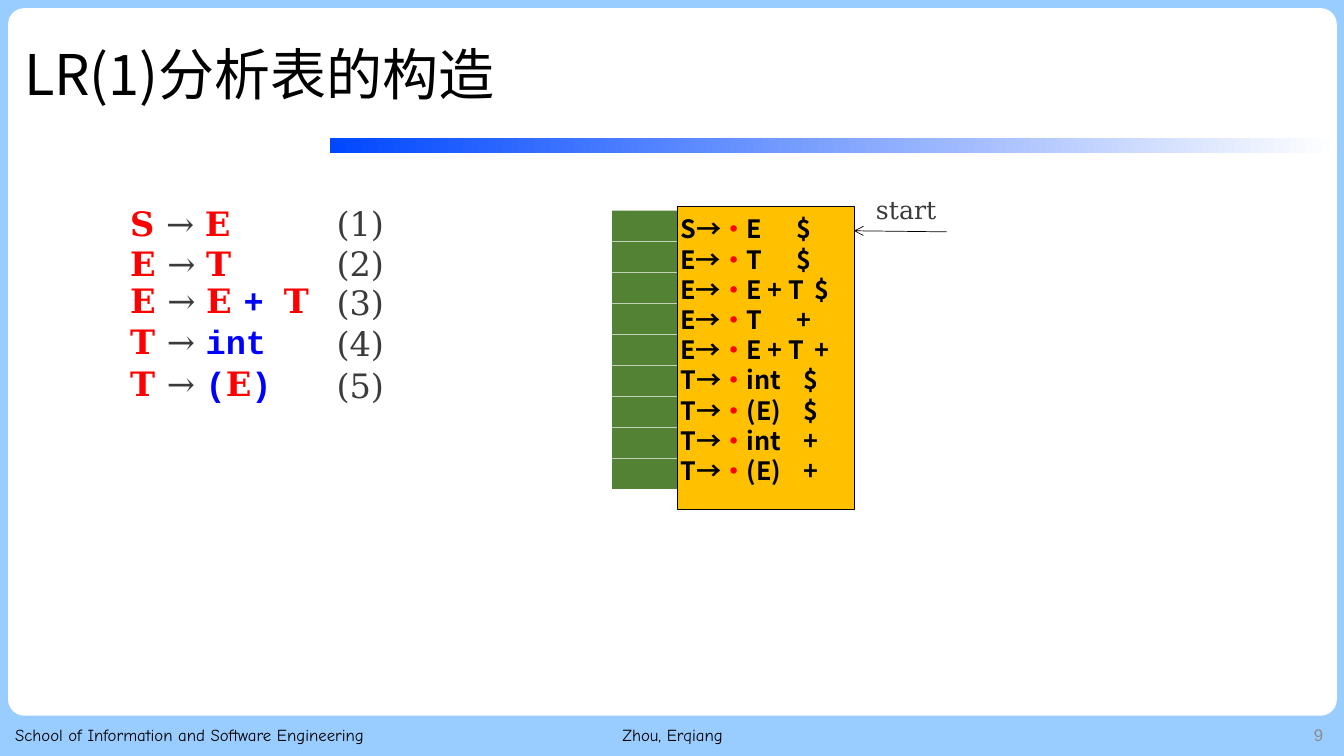
from lxml import etree
from pptx import Presentation
from pptx.dml.color import RGBColor
from pptx.enum.shapes import MSO_CONNECTOR as CONN, MSO_SHAPE as SHAPE
from pptx.enum.text import MSO_ANCHOR as ANCHOR, MSO_AUTO_SIZE as FIT, PP_ALIGN as ALIGN
from pptx.oxml.ns import qn
from pptx.util import Inches, Pt

SKY = RGBColor(0x99, 0xCC, 0xFF)
WHITE = RGBColor(0xFF, 0xFF, 0xFF)
BLACK = RGBColor(0, 0, 0)
RULE_BLUE = RGBColor(0x00, 0x47, 0xFF)
GREEN = RGBColor(0x54, 0x82, 0x35)
AMBER = RGBColor(0xFF, 0xC0, 0x00)
RED = RGBColor(0xFF, 0, 0)
BLUE = RGBColor(0, 0, 0xFF)
DARK = RGBColor(0x3B, 0x3B, 0x3B)
GRAY = RGBColor(0x8C, 0x8C, 0x8C)

SANS, SERIF, MONO, HAND = "Noto Sans CJK SC", "DejaVu Serif", "Courier New", "Comic Neue"
WIDTH, HEIGHT = Inches(13.33), Inches(7.5)

# Right-hand sides of the numbered productions, token by token
GRAMMAR = [
    ("S", ["E"]),
    ("E", ["T"]),
    ("E", ["E ", "+ ", "T"]),
    ("T", ["int"]),
    ("T", ["(", "E", ")"]),
]
# LR(1) items: left side, right side, lookahead
ITEMS = [
    ("S", "E", "$"), ("E", "T", "$"), ("E", "E + T", "$"),
    ("E", "T", "+"), ("E", "E + T", "+"),
    ("T", "int", "$"), ("T", "(E)", "$"), ("T", "int", "+"), ("T", "(E)", "+"),
]
# Lookahead tab stop in inches for each right side
LOOKAHEAD = {"E": 1.15, "T": 1.15, "E + T": 1.33, "int": 1.22, "(E)": 1.22}


def col(n):
    """Hundredths of the slide's width."""
    return round(WIDTH * n / 100)


def row(n):
    """Hundredths of the slide's height."""
    return round(HEIGHT * n / 100)


def area(x, y, w, h):
    return col(x), row(y), col(w), row(h)


def add_block(s, shape, place, color=None):
    sp = s.shapes.add_shape(shape, *area(*place))
    sp.shadow.inherit = False
    sp.line.fill.background()
    if color is not None:
        sp.fill.solid()
        sp.fill.fore_color.rgb = color
    return sp


def set_font(font, size, name, color, bold=False):
    font.size, font.name, font.bold = Pt(size), name, bold
    font.color.rgb = color


def add_run(p, text, size, name, color, bold=False):
    r = p.add_run()
    r.text = text
    set_font(r.font, size, name, color, bold)
    # East Asian glyphs and arrows use the same face
    etree.SubElement(r.font._element, qn("a:ea"), typeface=name)


def add_text(s, place, text, size, name, color, align=ALIGN.LEFT, anchor=ANCHOR.MIDDLE):
    tf = s.shapes.add_textbox(*area(*place)).text_frame
    tf.word_wrap = True
    tf.vertical_anchor = anchor
    p = tf.paragraphs[0]
    p.alignment = align
    if text:
        add_run(p, text, size, name, color)
    return tf


def add_arrow(s, start, end):
    line = s.shapes.add_connector(
        CONN.STRAIGHT, col(start[0]), row(start[1]), col(end[0]), row(end[1]))
    line.line.color.rgb = BLACK
    line.line.width = Pt(0.5)
    etree.SubElement(line.line._get_or_add_ln(), qn("a:tailEnd"), type="arrow")
    etree.SubElement(line._element.spPr, qn("a:effectLst"))


def add_frame(s):
    panel = add_block(s, SHAPE.ROUNDED_RECTANGLE, (0.6, 1.07, 98.87, 93.6), WHITE)
    panel.adjustments[0] = 0.023
    fill = add_block(s, SHAPE.RECTANGLE, (24.53, 18.27, 74.94, 2)).fill
    fill.gradient()
    fill.gradient_angle = 0
    for stop, color in zip(fill.gradient_stops, (RULE_BLUE, WHITE)):
        stop.color.rgb = color
    # Footer
    add_text(s, (0.38, 94.53, 32.41, 5.33),
             "School of Information and Software Engineering", 12, HAND, BLACK)
    add_text(s, (33.16, 94.53, 33.76, 5.33), "Zhou, Erqiang", 12, HAND, BLACK, ALIGN.CENTER)
    add_text(s, (76.67, 94.53, 22.51, 5.33), "9", 12, "Arial", GRAY, ALIGN.RIGHT)


def add_cell(table, i, j):
    cell = table.cell(i, j)
    cell.fill.background()
    cell.margin_left = cell.margin_right = cell.margin_top = cell.margin_bottom = 0
    p = cell.text_frame.paragraphs[0]
    p.line_spacing = Pt(27.3)
    return p


def add_grammar(s):
    table = s.shapes.add_table(len(GRAMMAR), 2, *area(9.45, 27.33, 19.13, 26.93)).table
    table.first_row = table.horz_banding = False
    for column, width in zip(table.columns, (14.03, 5.1)):
        column.width = col(width)
    for line, height in zip(table.rows, (5.2, 5.2, 5.47, 5.47, 5.47)):
        line.height = row(height)
    for i, (left, right) in enumerate(GRAMMAR):
        p = add_cell(table, i, 0)
        p._p.get_or_add_pPr().set("marL", str(Inches(0.03)))
        add_run(p, left + " ", 24, SERIF, RED, True)
        add_run(p, "→ ", 24, SERIF, DARK)
        for token in right:
            face = (SERIF, RED) if token.isupper() else (MONO, BLUE)
            add_run(p, token, 24, *face, True)
        p = add_cell(table, i, 1)
        p.alignment = ALIGN.RIGHT
        add_run(p, f"({i + 1})", 24, SERIF, DARK)


def add_items(s):
    # Green bars behind the state box
    for i in range(len(ITEMS)):
        add_block(s, SHAPE.RECTANGLE, (45.54, 27.87 + 4.1 * i, 7.88, 4), GREEN)
    state = add_block(s, SHAPE.RECTANGLE, (50.41, 27.33, 13.13, 40), AMBER)
    state.line.color.rgb = BLACK
    state.line.width = Pt(0.25)
    # One item a line, lookahead at a tab stop
    tf = add_text(s, (49.89, 27.6, 13.65, 37.73), "", 18, SANS, BLACK, anchor=ANCHOR.TOP)
    for i, (left, right, ahead) in enumerate(ITEMS):
        p = tf.add_paragraph() if i else tf.paragraphs[0]
        p.line_spacing = Pt(21.6)
        tabs = etree.SubElement(p._p.get_or_add_pPr(), qn("a:tabLst"))
        etree.SubElement(tabs, qn("a:tab"), pos=str(Inches(LOOKAHEAD[right])), algn="l")
        for text, color in ((left + "→", BLACK), ("•", RED), (f"{right}\t{ahead}", BLACK)):
            add_run(p, text, 18, SANS, color, True)
    # Entry arrow
    add_arrow(s, (70.44, 30.67), (63.54, 30.53))
    tf = add_text(s, (64.44, 25.07, 6, 5.33), "start", 18, SERIF, DARK, anchor=ANCHOR.TOP)
    tf.word_wrap = False
    tf.auto_size = FIT.SHAPE_TO_FIT_TEXT


def main():
    prs = Presentation()
    prs.slide_width, prs.slide_height = WIDTH, HEIGHT
    s = prs.slides.add_slide(prs.slide_layouts[6])
    s.background.fill.solid()
    s.background.fill.fore_color.rgb = SKY
    add_frame(s)
    add_items(s)
    add_grammar(s)
    # Title
    tf = add_text(s, (1.05, 2, 94.3, 16.53), "LR(1)分析表的构造", 40, SANS, BLACK)
    tf.paragraphs[0].line_spacing = 0.9
    prs.save("out.pptx")


if __name__ == "__main__":
    main()
